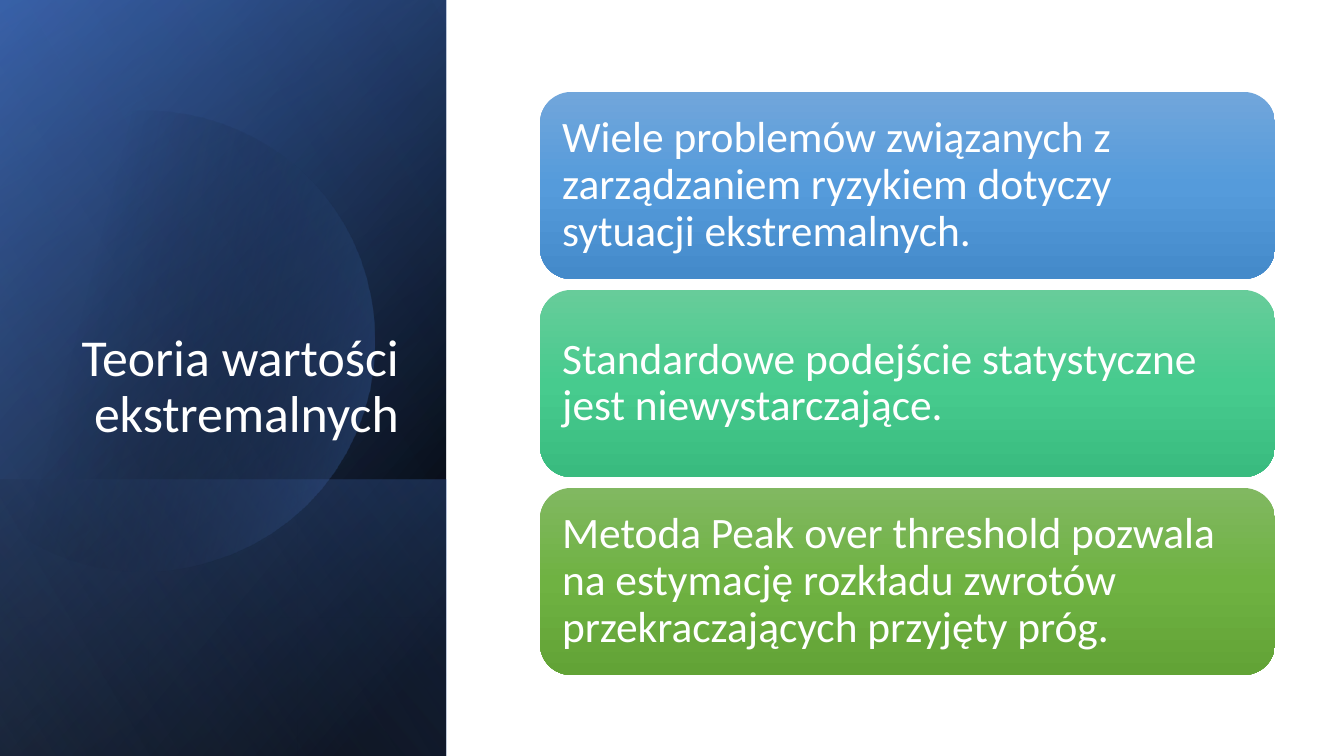
from lxml import etree
from pptx import Presentation
from pptx import util as u
from pptx.dml.color import RGBColor
from pptx.enum import shapes, text
from pptx.oxml import ns

PX = u.Inches(1) / 100.8
FONT = "Calibri"
WHITE = RGBColor(0xFF, 0xFF, 0xFF)
BLACK = RGBColor(0x00, 0x00, 0x00)
NAVY = RGBColor(0x2F, 0x55, 0x97)
BLUE = RGBColor(0x44, 0x72, 0xC4)
PALE_BLUE = RGBColor(0x8F, 0xAA, 0xDC)
SKY_SHADES = (RGBColor(0x71, 0xA6, 0xDB), RGBColor(0x55, 0x9B, 0xDB), RGBColor(0x44, 0x8A, 0xCA))
MINT_SHADES = (RGBColor(0x67, 0xCC, 0x9A), RGBColor(0x47, 0xCB, 0x8E), RGBColor(0x39, 0xBB, 0x7F))
LEAF_SHADES = (RGBColor(0x81, 0xB8, 0x61), RGBColor(0x6F, 0xB2, 0x42), RGBColor(0x62, 0xA3, 0x36))

CARDS = [
    ("Wiele problemów związanych z zarządzaniem ryzykiem dotyczy sytuacji ekstremalnych.", SKY_SHADES),
    ("Standardowe podejście statystyczne jest niewystarczające.", MINT_SHADES),
    ("Metoda Peak over threshold pozwala na estymację rozkładu zwrotów przekraczających przyjęty próg.", LEAF_SHADES),
]
CARD_TOP, CARD_STEP = 92, 198

DISC_START = (150, 111)
DISC_CURVES = [
    ((248, 113), (338, 178), (366, 277)),
    ((401, 400), (331, 527), (209, 562)),
    ((132, 585), (53, 566), (-3, 518)),
    ((-9, 513), (-15, 507), (-15, 507)),
    ((-15, 397), (-15, 286), (-15, 176)),
    ((-10, 171), (-5, 167), (0, 162)),
    ((23, 143), (50, 129), (81, 120)),
    ((104, 114), (127, 111), (150, 111)),
]
CURVE_STEPS = 16


def px(*lengths):
    return [u.Emu(round(length * PX)) for length in lengths]


def paint_gradient(shape, angle, stops):
    shape.shadow.inherit = False
    shape.line.fill.background()
    shape.fill.gradient()
    shape.fill.gradient_angle = 360 - angle
    stop_list = shape._element.spPr.find(".//" + ns.qn("a:gsLst"))
    for stop in list(stop_list):
        stop_list.remove(stop)
    for position, color, opacity in stops:
        stop = etree.SubElement(stop_list, ns.qn("a:gs"), pos=str(position * 1000))
        tint = etree.SubElement(stop, ns.qn("a:srgbClr"), val=str(color))
        if opacity < 100:
            etree.SubElement(tint, ns.qn("a:alpha"), val=str(opacity * 1000))


def write_text(frame, words, size, inset_x, inset_y, anchor, alignment):
    frame.word_wrap = True
    frame.vertical_anchor = anchor
    frame.margin_left, frame.margin_right = px(inset_x, inset_x)
    frame.margin_top, frame.margin_bottom = px(inset_y, inset_y)
    para = frame.paragraphs[0]
    para.text = words
    para.alignment = alignment
    para.line_spacing = 0.9
    para.font.name = FONT
    para.font.size = u.Pt(size)
    para.font.color.rgb = WHITE


def add_panel(page, place, angle, stops):
    panel = page.shapes.add_shape(shapes.MSO_SHAPE.RECTANGLE, *px(*place))
    panel.rotation = 90
    panel._element.spPr.find(ns.qn("a:xfrm")).set("flipH", "1")
    paint_gradient(panel, angle, stops)


def curve_points(start, control_1, control_2, end):
    for step in range(1, CURVE_STEPS + 1):
        t = step / CURVE_STEPS
        weights = ((1 - t) ** 3, 3 * t * (1 - t) ** 2, 3 * t * t * (1 - t), t ** 3)
        corners = (start, control_1, control_2, end)
        yield px(*(sum(w * c[axis] for w, c in zip(weights, corners)) for axis in (0, 1)))


def add_disc(page, angle, stops):
    outline = page.shapes.build_freeform(*px(*DISC_START))
    start = DISC_START
    for curve in DISC_CURVES:
        outline.add_line_segments(list(curve_points(start, *curve)), close=False)
        start = curve[-1]
    outline.add_line_segments([], close=True)
    paint_gradient(outline.convert_to_shape(), angle, stops)


def add_title(page, words):
    box = page.shapes.add_textbox(*px(65, 185, 344, 264))
    write_text(box.text_frame, words, 37, 10, 5, text.MSO_ANCHOR.BOTTOM, text.PP_ALIGN.RIGHT)


def add_card(page, top, words, shades):
    card = page.shapes.add_shape(shapes.MSO_SHAPE.ROUNDED_RECTANGLE, *px(540, top, 735, 187))
    paint_gradient(card, 90, [(50 * i, shade, 100) for i, shade in enumerate(shades)])
    write_text(card.text_frame, words, 31, 13, 13, text.MSO_ANCHOR.MIDDLE, text.PP_ALIGN.LEFT)


def main():
    deck = Presentation()
    deck.slide_width, deck.slide_height = px(1344, 756)
    page = deck.slides.add_slide(deck.slide_layouts[6])

    side = (-155, 155, 756, 446)
    add_panel(page, side, 50, [(8, BLACK, 100), (100, NAVY, 100)])
    add_panel(page, side, 30, [(0, BLACK, 0), (99, BLUE, 46)])
    add_panel(page, (85, 395, 276, 446), 130, [(2, BLUE, 29), (100, BLACK, 30)])
    add_disc(page, 14, [(29, BLACK, 0), (100, BLUE, 43)])
    add_panel(page, side, 120, [(0, BLACK, 0), (99, PALE_BLUE, 11)])

    add_title(page, "Teoria wartości ekstremalnych")
    for index, (words, shades) in enumerate(CARDS):
        add_card(page, CARD_TOP + index * CARD_STEP, words, shades)

    deck.save("out.pptx")


if __name__ == "__main__":
    main()
